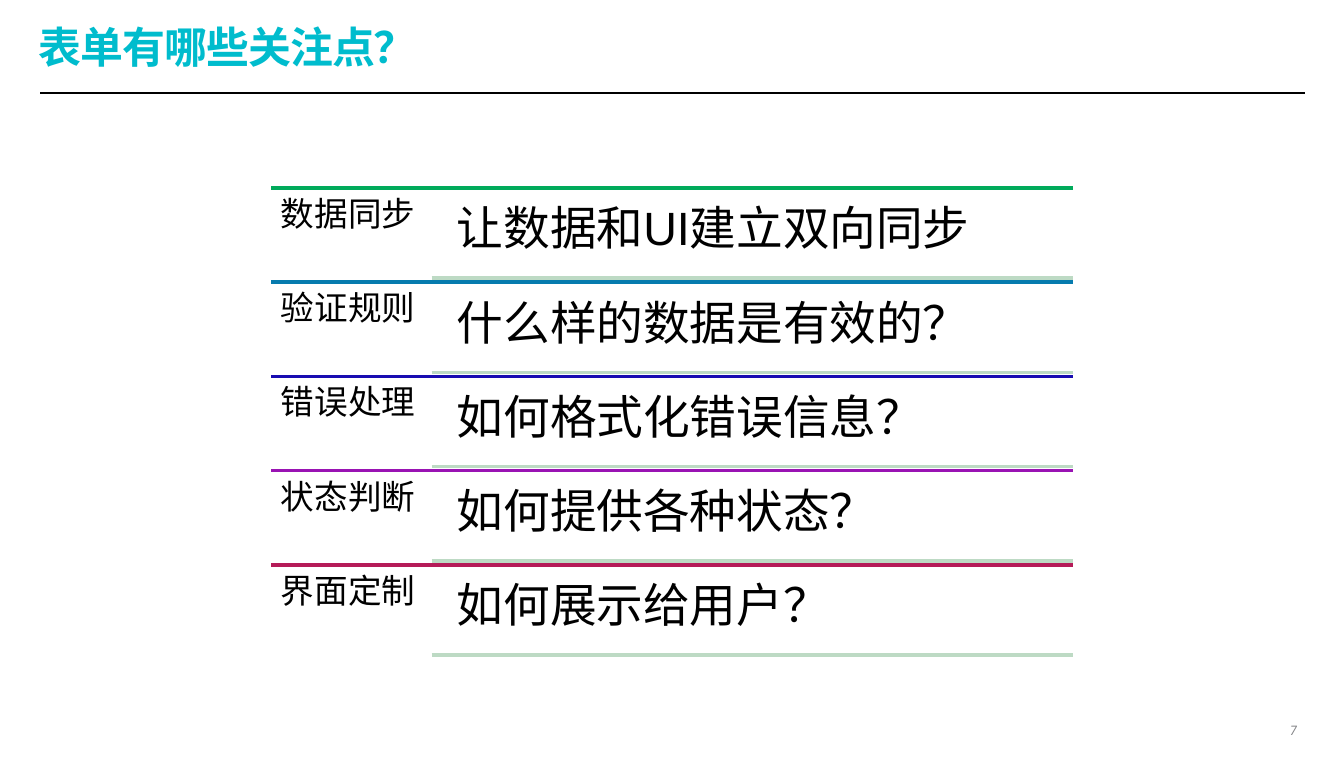
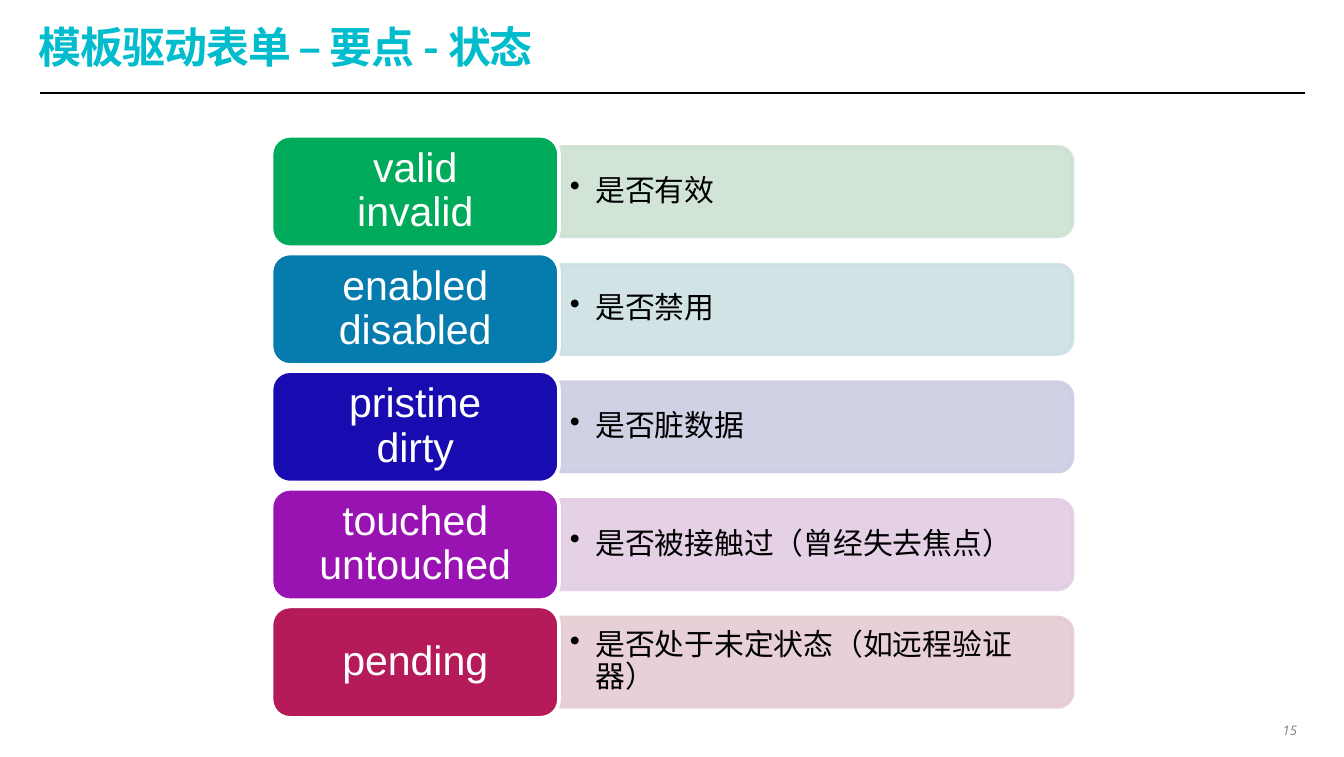
from lxml import etree
from pptx import Presentation
from pptx.dml.color import RGBColor
from pptx.enum.shapes import MSO_CONNECTOR, MSO_SHAPE
from pptx.enum.text import MSO_ANCHOR as Anchor, PP_ALIGN as Align
from pptx.oxml.ns import qn
from pptx.util import Inches, Pt

BLACK = RGBColor(0x00, 0x00, 0x00)
WHITE = RGBColor(0xFF, 0xFF, 0xFF)
TITLE_CYAN = RGBColor(0x00, 0xBC, 0xCD)
PAGE_GREY = RGBColor(0x80, 0x81, 0x84)
RULE_GREEN = RGBColor(0xBD, 0xDA, 0xC4)
ACCENTS = [
    RGBColor(0x00, 0xAA, 0x5B),
    RGBColor(0x06, 0x7B, 0xAE),
    RGBColor(0x18, 0x0C, 0xB1),
    RGBColor(0x99, 0x13, 0xB3),
    RGBColor(0xB5, 0x1B, 0x58),
]
TINTS = [
    RGBColor(0xCC, 0xE2, 0xD2),
    RGBColor(0xCC, 0xE0, 0xE3),
    RGBColor(0xCD, 0xCD, 0xE4),
    RGBColor(0xE2, 0xCD, 0xE4),
    RGBColor(0xE5, 0xCD, 0xD2),
]
CJK_FONT = "Noto Sans CJK JP"

CONCERNS = [
    ("数据同步", "让数据和UI建立双向同步"),
    ("验证规则", "什么样的数据是有效的？"),
    ("错误处理", "如何格式化错误信息？"),
    ("状态判断", "如何提供各种状态？"),
    ("界面定制", "如何展示给用户？"),
]
STATES = [
    ("valid\ninvalid", "是否有效"),
    ("enabled\ndisabled", "是否禁用"),
    ("pristine\ndirty", "是否脏数据"),
    ("touched\nuntouched", "是否被接触过（曾经失去焦点）"),
    ("pending", "是否处于未定状态（如远程验证器）"),
]


def write_text(shape, text, *, size, color=BLACK, font="Arial", bold=False, italic=False,
               align=Align.LEFT, anchor=Anchor.TOP, inset=(0, 0), line_spacing=0.9,
               tracking=None, bullet_indent=None):
    """Fill a shape with one paragraph; inset is (horizontal, vertical) in inches."""
    frame = shape.text_frame
    frame.word_wrap = True
    frame.vertical_anchor = anchor
    frame.margin_left = frame.margin_right = Inches(inset[0])
    frame.margin_top = frame.margin_bottom = Inches(inset[1])
    paragraph = frame.paragraphs[0]
    paragraph.text = text
    paragraph.alignment = align
    paragraph.line_spacing = line_spacing
    for run in paragraph.runs:
        run.font.size = Pt(size)
        run.font.name = font
        run.font.bold = bold
        run.font.italic = italic
        run.font.color.rgb = color
        properties = run.font._element
        etree.SubElement(properties, qn("a:ea")).set("typeface", CJK_FONT)
        if tracking is not None:
            properties.set("spc", str(round(tracking * 100)))
    if bullet_indent is not None:
        properties = paragraph._p.get_or_add_pPr()
        properties.set("marL", str(Inches(bullet_indent)))
        properties.set("indent", str(-Inches(bullet_indent)))
        etree.SubElement(properties, qn("a:buChar")).set("char", "•")


def add_text(slide, box, text, **text_format):
    shape = slide.shapes.add_textbox(*map(Inches, box))
    write_text(shape, text, **text_format)


def add_rule(slide, left, right, y, color, width):
    line = slide.shapes.add_connector(
        MSO_CONNECTOR.STRAIGHT, Inches(left), Inches(y), Inches(right), Inches(y))
    line.line.color.rgb = color
    line.line.width = Pt(width)
    etree.SubElement(line._element.spPr, qn("a:effectLst"))


def add_box(slide, preset, box, fill, outline):
    shape = slide.shapes.add_shape(preset, *map(Inches, box))
    shape.shadow.inherit = False
    shape.fill.solid()
    shape.fill.fore_color.rgb = fill
    shape.line.color.rgb = outline
    shape.line.width = Pt(2)
    return shape


def add_titled_slide(presentation, title, page_number):
    slide = presentation.slides.add_slide(presentation.slide_layouts[6])
    add_rule(slide, 0.3, 9.71, 0.69, BLACK, 1)
    add_text(slide, (0.29, 0.18, 9.41, 0.42), title, size=23, color=TITLE_CYAN,
             font=CJK_FONT, bold=True, anchor=Anchor.MIDDLE, line_spacing=0.7, tracking=-0.6)
    add_text(slide, (9.36, 5.34, 0.35, 0.17), str(page_number), size=7, color=PAGE_GREY,
             font="Open Sans", italic=True, align=Align.RIGHT, inset=(0.06, 0.03),
             line_spacing=1.0)
    return slide


def add_concern_row(slide, box, concern, question, accent):
    left, top, width, height = box
    right = left + width
    label_width = width / 5
    question_left = left + label_width + 0.09
    add_rule(slide, left, right, top, accent, 2)
    add_text(slide, (left, top, label_width, height), concern, size=18, inset=(0.07, 0.07))
    add_text(slide, (question_left, top + 0.03, right - question_left, height - 0.06),
             question, size=25, inset=(0.1, 0.1))
    add_rule(slide, left + label_width, right, top + height - 0.03, RULE_GREEN, 2)


def add_tint_band(slide, box, tint):
    """Draw a band rounded on its right end: a top-rounded shape turned by 90 degrees."""
    left, top, width, height = box
    center_x, center_y = left + width / 2, top + height / 2
    band = add_box(slide, MSO_SHAPE.ROUND_2_SAME_RECTANGLE,
                   (center_x - height / 2, center_y - width / 2, height, width), tint, tint)
    band.rotation = 90
    for color in band._element.spPr.iter(qn("a:srgbClr")):
        etree.SubElement(color, qn("a:alpha")).set("val", "90000")


def add_state_row(slide, box, state, meaning, accent, tint):
    left, top, width, height = box
    label_width = 2.14
    band_left = left + label_width + 0.01
    band_width = left + width - band_left
    band_height = height * 0.8
    band_top = top + (height - band_height) / 2
    add_tint_band(slide, (band_left, band_top, band_width, band_height), tint)
    add_text(slide, (band_left, band_top + 0.03, band_width - 0.03, band_height - 0.06),
             meaning, size=16, anchor=Anchor.MIDDLE, inset=(0.07, 0.03), bullet_indent=0.19)
    label = add_box(slide, MSO_SHAPE.ROUNDED_RECTANGLE,
                    (left, top, label_width, height), accent, WHITE)
    write_text(label, state, size=22, color=WHITE, align=Align.CENTER,
               anchor=Anchor.MIDDLE, inset=(0.1, 0.05))


def build_concerns_slide(presentation, box):
    slide = add_titled_slide(presentation, "表单有哪些关注点？", 7)
    left, top, width, height = box
    pitch = height / len(CONCERNS)
    for index, ((concern, question), accent) in enumerate(zip(CONCERNS, ACCENTS)):
        add_concern_row(slide, (left, top + index * pitch, width, pitch),
                        concern, question, accent)


def build_states_slide(presentation, box):
    slide = add_titled_slide(presentation, "模板驱动表单 – 要点 - 状态", 15)
    left, top, width, height = box
    row_height = 0.83
    pitch = (height - row_height) / (len(STATES) - 1)
    for index, ((state, meaning), accent, tint) in enumerate(zip(STATES, ACCENTS, TINTS)):
        add_state_row(slide, (left, top + index * pitch, width, row_height),
                      state, meaning, accent, tint)


def main():
    presentation = Presentation()
    presentation.slide_width = Inches(10)
    presentation.slide_height = Inches(5.63)
    build_concerns_slide(presentation, (2.02, 1.4, 5.96, 3.5))
    build_states_slide(presentation, (2.02, 1.01, 5.96, 4.33))
    presentation.save("out.pptx")


if __name__ == "__main__":
    main()
